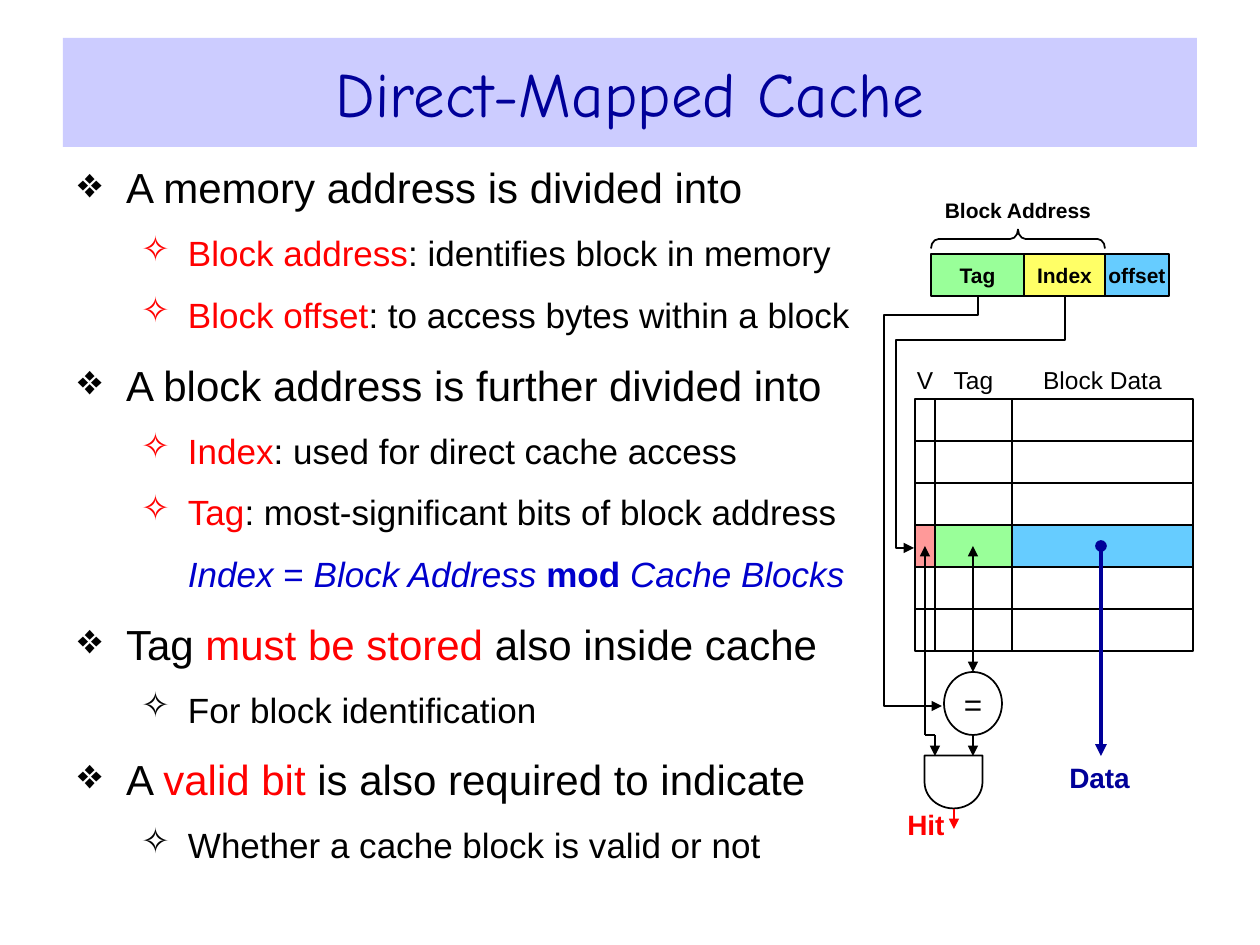
from itertools import accumulate

from pptx import Presentation
from pptx.dml.color import RGBColor
from pptx.enum import shapes, text
from pptx.oxml.ns import qn
from pptx.util import Pt
from lxml import etree

PX = 914400 / 126  # EMU in one px
SHAPE = shapes.MSO_SHAPE


class Theme:
    font, title_font = "Arial", "Comic Neue"
    black, white, red = "000000", "FFFFFF", "FF0000"
    navy, blue, band = "000099", "0000CC", "CCCCFF"
    green, yellow, sky, pink = "99FF99", "FFFF66", "66CCFF", "FF9999"
    title, level0, level1 = 36, 24, 20
    equal, result, heading, field = 18, 16, 14, 12
    thin, thick = 1, 2.25


def emu(*px):
    return [round(v * PX) for v in px]


def rgb(value):
    return RGBColor.from_string(value)


def add_run(p, words, size, color=Theme.black, **fmt):
    r = p.add_run()
    r.text = words
    r.font.color.rgb = rgb(color)
    for name, value in {"name": Theme.font, "size": Pt(size), **fmt}.items():
        setattr(r.font, name, value)


def set_frame(tf, inset=0, anchor=text.MSO_ANCHOR.MIDDLE):
    margins = {f"margin_{side}": inset for side in ("left", "right", "top", "bottom")}
    for name, value in {"word_wrap": True, "vertical_anchor": anchor, **margins}.items():
        setattr(tf, name, value)


def put_text(sp, words, size, color=Theme.black, **fmt):
    set_frame(sp.text_frame)
    p = sp.text_frame.paragraphs[0]
    p.alignment = text.PP_ALIGN.CENTER
    add_run(p, words, size, color, **fmt)


def add_label(s, box, words, size, color=Theme.black, **fmt):
    put_text(s.shapes.add_textbox(*emu(*box)), words, size, color, **fmt)


def style_line(sp, color=Theme.black, width=Theme.thin, head=None, tail=None):
    sp.line.color.rgb = rgb(color)
    sp.line.width = Pt(width)
    ln = sp.line._get_or_add_ln()
    for tag, kind in (("a:headEnd", head), ("a:tailEnd", tail)):
        if kind:
            etree.SubElement(ln, qn(tag), type=kind)


def add_box(s, box, fill=None, kind=SHAPE.RECTANGLE, outlined=True):
    sp = s.shapes.add_shape(kind, *emu(*box))
    sp.shadow.inherit = False
    if fill:
        sp.fill.solid()
        sp.fill.fore_color.rgb = rgb(fill)
    else:
        sp.fill.background()
    if outlined:
        style_line(sp)
    else:
        sp.line.fill.background()
    return sp


def add_line(s, x1, y1, x2, y2, **fmt):
    sp = s.shapes.add_connector(shapes.MSO_CONNECTOR.STRAIGHT, *emu(x1, y1, x2, y2))
    style_line(sp, **fmt)
    etree.SubElement(sp._element.spPr, qn("a:effectLst"))


def add_wire(s, points):
    builder = s.shapes.build_freeform(*points[0], scale=PX)
    builder.add_line_segments(points[1:], close=False)
    sp = builder.convert_to_shape()
    sp.shadow.inherit = False
    sp.fill.background()
    style_line(sp, tail="triangle")


def set_bullet(p, level, char, color):
    pPr = p._p.get_or_add_pPr()
    left, hang = ((48, 48), (110, 47))[level]
    pPr.set("marL", str(emu(left)[0]))
    pPr.set("indent", str(emu(-hang if char else 0)[0]))
    if char:
        clr = etree.SubElement(pPr, qn("a:buClr"))
        etree.SubElement(clr, qn("a:srgbClr"), val=color)
        etree.SubElement(pPr, qn("a:buChar"), char=char)
    else:
        etree.SubElement(pPr, qn("a:buNone"))


def build_title(s, box):
    put_text(add_box(s, box, Theme.band, outlined=False), "Direct-Mapped Cache",
             Theme.title, Theme.navy, name=Theme.title_font)


def build_points(s, box):
    red, blue, black = Theme.red, Theme.blue, Theme.black
    slant = {"italic": True}
    # Level, bullet, then runs of words, colour and format
    points = [
        (0, "❖", [("A memory address is divided into", black, {})]),
        (1, "✧", [("Block address", red, {}), (": identifies block in memory", black, {})]),
        (1, "✧", [("Block offset", red, {}), (": to access bytes within a block", black, {})]),
        (0, "❖", [("A block address is further divided into", black, {})]),
        (1, "✧", [("Index", red, {}), (": used for direct cache access", black, {})]),
        (1, "✧", [("Tag", red, {}), (": most-significant bits of block address", black, {})]),
        (1, "", [("Index", blue, slant), (" = ", blue, {}), ("Block Address ", blue, slant),
                 ("mod ", blue, {"bold": True}), ("Cache Blocks", blue, slant)]),
        (0, "❖", [("Tag ", black, {}), ("must be stored", red, {}),
                  (" also inside cache", black, {})]),
        (1, "✧", [("For block identification", black, {})]),
        (0, "❖", [("A ", black, {}), ("valid bit", red, {}),
                  (" is also required to indicate", black, {})]),
        (1, "✧", [("Whether a cache block is valid or not", black, {})]),
    ]
    tf = s.shapes.add_textbox(*emu(*box)).text_frame
    set_frame(tf, emu(12)[0], text.MSO_ANCHOR.TOP)
    tf.margin_top = tf.margin_bottom = emu(6)[0]
    for i, (level, char, runs) in enumerate(points):
        p = tf.add_paragraph() if i else tf.paragraphs[0]
        p.level = level
        if i:
            p.space_before = Pt((13.5, 11.2)[level])
        set_bullet(p, level, char, runs[0][1])
        for words, color, fmt in runs:
            add_run(p, words, (Theme.level0, Theme.level1)[level], color, **fmt)


def build_address(s, box):
    x, y, w, h = box
    bar_h = 42
    bar_y = y + h - bar_h
    fields = [("Tag", 93, Theme.green), ("Index", 81, Theme.yellow), ("offset", 64, Theme.sky)]
    lefts = accumulate((width for _, width, _ in fields), initial=x)
    for (words, width, fill), left in zip(fields, lefts):
        put_text(add_box(s, (left, bar_y, width, bar_h), fill), words, Theme.field, bold=True)
    # Brace over tag and index, turned from a left brace
    span, depth = 174, 19
    brace = add_box(s, (x + (span - depth) / 2, y + 41 - span / 2, depth, span),
                    kind=SHAPE.LEFT_BRACE)
    brace.rotation = 90
    brace.adjustments[0] = 0.4
    add_label(s, (x, y, span, 25), "Block Address", Theme.field, bold=True)


def build_cache(s, box):
    x, y, w, h = box
    rows, hit_row = 6, 3
    row_h = h / rows
    columns = [("V", 20, Theme.pink), ("Tag", 77, Theme.green), ("Block Data", 181, Theme.sky)]
    lefts = list(accumulate((width for _, width, _ in columns), initial=x))
    add_box(s, box, Theme.white)
    for i in range(1, rows):
        add_line(s, x, y + i * row_h, x + w, y + i * row_h)
    # Headings and the selected row
    for (words, width, fill), left in zip(columns, lefts):
        add_label(s, (left, y - 46, width, 53), words, Theme.heading)
        add_box(s, (left, y + hit_row * row_h, width, row_h), fill)
    for left in lefts[1:-1]:
        add_line(s, left, y, left, y + h)


def build_logic(s, box):
    x, y, w, h = box
    tag_x, valid_x, gate_x, data_x = x + 66, x + 18, x + 28, x + 194
    bottom, gate_y = y + 189, y + 210
    # Comparator and AND gate
    add_line(s, tag_x, y, tag_x, y + 126, head="triangle", tail="triangle")
    gate = add_box(s, (x + 20, gate_y - 3, 53, 58), Theme.white, SHAPE.FLOWCHART_DELAY)
    gate.rotation = 90
    put_text(add_box(s, (x + 37, y + 126, 58, 63), Theme.white, SHAPE.OVAL),
             "=", Theme.equal)
    for left in (tag_x, gate_x):
        add_line(s, left, bottom, left, gate_y, tail="triangle")
    # Valid bit
    add_line(s, valid_x, y, valid_x, bottom, head="triangle")
    add_line(s, valid_x, bottom, gate_x, bottom)
    # Results
    add_line(s, x + 47, y + 263, x + 47, y + 283, color=Theme.red, tail="triangle")
    add_label(s, (x - 10, y + 257, 58, 42), "Hit", Theme.result, Theme.red, bold=True)
    add_line(s, data_x, y, data_x, gate_y, color=Theme.navy, width=Theme.thick,
             head="oval", tail="triangle")
    add_label(s, (data_x - 35, gate_y, 67, 42), "Data", Theme.result, Theme.navy, bold=True)


def build_wires(s, box):
    x, y, w, h = box
    tag_x, index_x, index_left = x + 94, x + w, x + 12
    # Index selects a row, tag goes to the comparator
    add_wire(s, [(index_x, y), (index_x, y + 44), (index_left, y + 44),
                 (index_left, y + 252), (x + 30, y + 252)])
    add_wire(s, [(tag_x, y), (tag_x, y + 19), (x, y + 19), (x, y + h), (x + 58, y + h)])


def main():
    prs = Presentation()
    prs.slide_width, prs.slide_height = emu(1260, 945)
    s = prs.slides.add_slide(prs.slide_layouts[6])
    build_title(s, (63, 38, 1134, 109))
    build_points(s, (66, 156, 800, 706))
    build_cache(s, (915, 399, 278, 252))
    build_logic(s, (907, 546, 230, 299))
    build_address(s, (931, 198, 238, 98))
    build_wires(s, (884, 296, 181, 410))
    prs.save("out.pptx")


if __name__ == "__main__":
    main()
